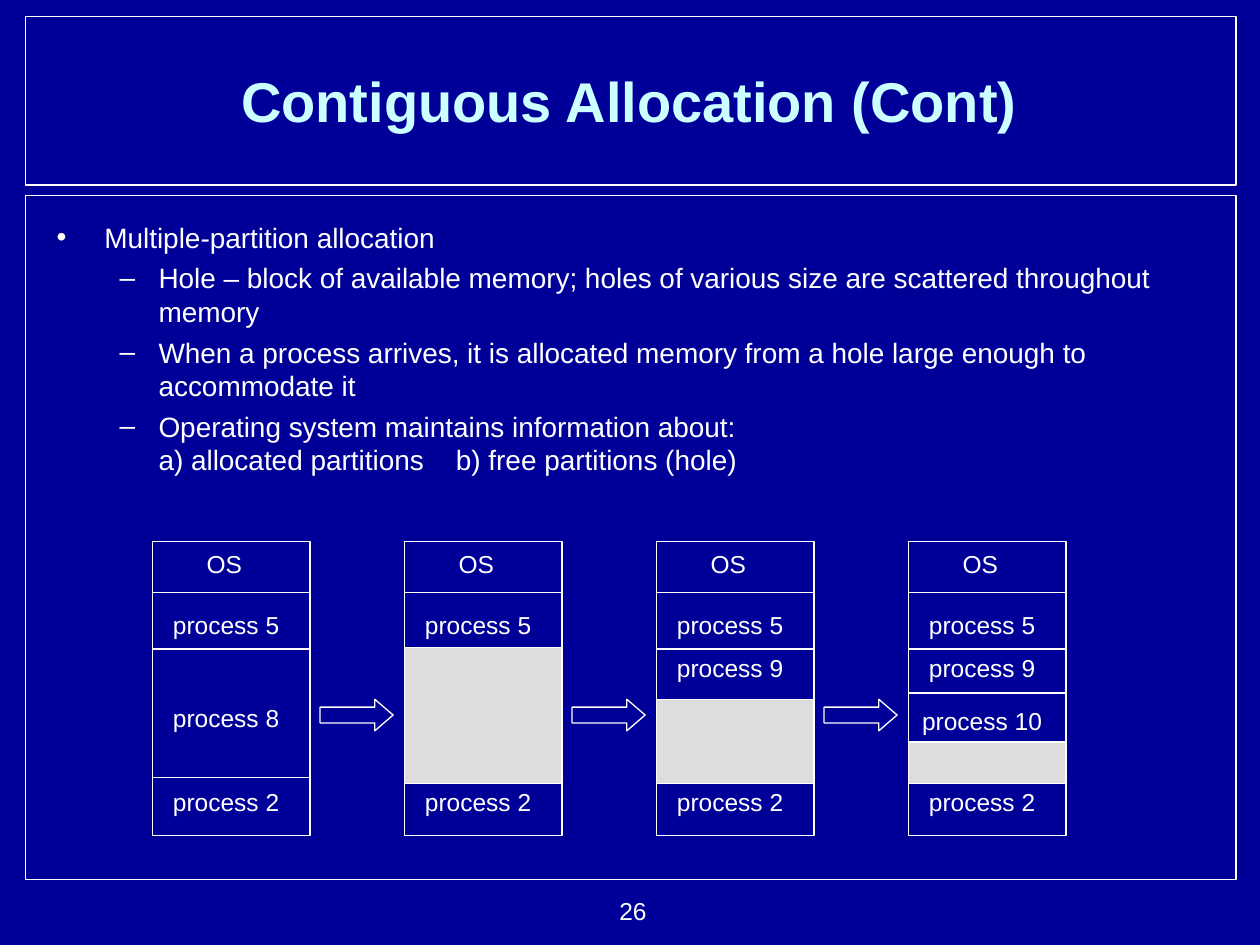
from lxml import etree
from pptx import Presentation
from pptx.dml.color import RGBColor
from pptx.enum import shapes, text
from pptx.oxml import ns
from pptx.util import Inches, Pt

NAVY, WHITE, CYAN, GREY = "000099", "FFFFFF", "CCFFFF", "DDDDDD"

TITLE = "Contiguous Allocation (Cont)"
PAGE_NUMBER = "26"
POINTS = [
    (0, "Multiple-partition allocation"),
    (1, "Hole – block of available memory; holes of various size are scattered throughout memory"),
    (1, "When a process arrives, it is allocated memory from a hole large enough to accommodate it"),
    (1, "Operating system maintains information about:\va) allocated partitions\tb) free partitions (hole)"),
]
LEVELS = [("•", 0.38, -0.38), ("–", 0.81, -0.31)]
TAB_STOPS = [2.36, 3.17]

FRAMES = [(0.2, 0.13, 9.61, 1.34), (0.2, 1.55, 9.61, 5.43)]
COMMON_LABELS = [("process 5", 4.79), ("process 2", 6.19)]
COMMON_DIVIDERS = [4.7, 5.15, 6.17]
MEMORY_STATES = [
    {"labels": [("process 8", 5.53)]},
    {"hole": 5.14},
    {"labels": [("process 9", 5.13)], "hole": 5.55},
    {"labels": [("process 9", 5.13), ("process 10", 5.55)], "hole": 5.89, "dividers": [5.5]},
]
FIRST_LEFT, STEP, MEMORY_WIDTH = 1.21, 2, 1.25
MEMORY_TOP, MEMORY_HEIGHT, HOLE_BOTTOM = 4.3, 2.33, 6.22
LABEL_WIDTH, LABEL_HEIGHT = 1.17, 0.34

prs = Presentation()
prs.slide_width, prs.slide_height = Inches(10), Inches(7.5)
slide = prs.slides.add_slide(prs.slide_layouts[6])


def color(value):
    return RGBColor.from_string(value)


def paint(fill, value):
    fill.solid()
    fill.fore_color.rgb = color(value)


def add_outlined(kind, left, top, width, height, fill=NAVY):
    shape = slide.shapes.add_shape(kind, *map(Inches, (left, top, width, height)))
    shape.shadow.inherit = False
    paint(shape.fill, fill)
    shape.line.color.rgb = color(WHITE)
    shape.line.width = Pt(0.75)
    return shape


def add_divider(left, y):
    line = slide.shapes.add_connector(
        shapes.MSO_CONNECTOR.STRAIGHT,
        Inches(left), Inches(y), Inches(left + MEMORY_WIDTH), Inches(y))
    line.line.color.rgb = color(WHITE)
    line.line.width = Pt(0.75)
    etree.SubElement(line._element.spPr, ns.qn("a:effectLst"))


def style(paragraph, size, value=WHITE, bold=False):
    font = paragraph.font
    font.name, font.size, font.bold = "Arial", Pt(size), bold
    font.color.rgb = color(value)


def add_frame(left, top, width, height, anchor=text.MSO_ANCHOR.TOP):
    frame = slide.shapes.add_textbox(*map(Inches, (left, top, width, height))).text_frame
    frame.word_wrap = True
    frame.vertical_anchor = anchor
    return frame


def add_text(words, left, top, width, height, size=14, value=WHITE, bold=False,
             align=text.PP_ALIGN.CENTER, anchor=text.MSO_ANCHOR.MIDDLE):
    paragraph = add_frame(left, top, width, height, anchor).paragraphs[0]
    paragraph.text = words
    paragraph.alignment = align
    style(paragraph, size, value, bold)


def add_bullet(paragraph, level):
    char, margin, indent = LEVELS[level]
    props = paragraph._p.get_or_add_pPr()
    props.set("marL", str(Inches(margin)))
    props.set("indent", str(Inches(indent)))
    bullet_color = etree.SubElement(props, ns.qn("a:buClr"))
    etree.SubElement(bullet_color, ns.qn("a:srgbClr"), val=WHITE)
    etree.SubElement(props, ns.qn("a:buFont"), typeface="Arial")
    etree.SubElement(props, ns.qn("a:buChar"), char=char)
    tabs = etree.SubElement(props, ns.qn("a:tabLst"))
    for stop in TAB_STOPS:
        etree.SubElement(tabs, ns.qn("a:tab"), pos=str(Inches(stop)), algn="l")


def add_points():
    frame = add_frame(0.35, 1.7, 9.29, 2.68)
    for index, (level, words) in enumerate(POINTS):
        paragraph = frame.add_paragraph() if index else frame.paragraphs[0]
        paragraph.text = words
        paragraph.level = level
        add_bullet(paragraph, level)
        if index:
            paragraph.space_before = Pt(4)
        style(paragraph, 16)


def add_memory(left, state):
    rectangle = shapes.MSO_SHAPE.RECTANGLE
    add_outlined(rectangle, left, MEMORY_TOP, MEMORY_WIDTH, MEMORY_HEIGHT)
    for y in COMMON_DIVIDERS + state.get("dividers", []):
        add_divider(left, y)
    if "hole" in state:
        top = state["hole"]
        add_outlined(rectangle, left, top, MEMORY_WIDTH, HOLE_BOTTOM - top, GREY)
    add_text("OS", left + 0.28, MEMORY_TOP, 0.58, LABEL_HEIGHT)
    for words, top in COMMON_LABELS + state.get("labels", []):
        add_text(words, left, top, LABEL_WIDTH, LABEL_HEIGHT)


def main():
    paint(slide.background.fill, NAVY)
    for frame in FRAMES:
        add_outlined(shapes.MSO_SHAPE.RECTANGLE, *frame)
    add_text(PAGE_NUMBER, 4.19, 7.06, 1.04, 0.34,
             align=text.PP_ALIGN.RIGHT, anchor=text.MSO_ANCHOR.TOP)
    add_text(TITLE, 0.35, 0.17, 9.29, 1.25, 32, CYAN, True)
    add_points()
    for index, state in enumerate(MEMORY_STATES):
        left = FIRST_LEFT + index * STEP
        add_memory(left, state)
        if index:
            arrow = add_outlined(shapes.MSO_SHAPE.RIGHT_ARROW, left - 0.67, 5.55, 0.58, 0.25)
            arrow.adjustments[1] = 0.58
    prs.save("out.pptx")


if __name__ == "__main__":
    main()
